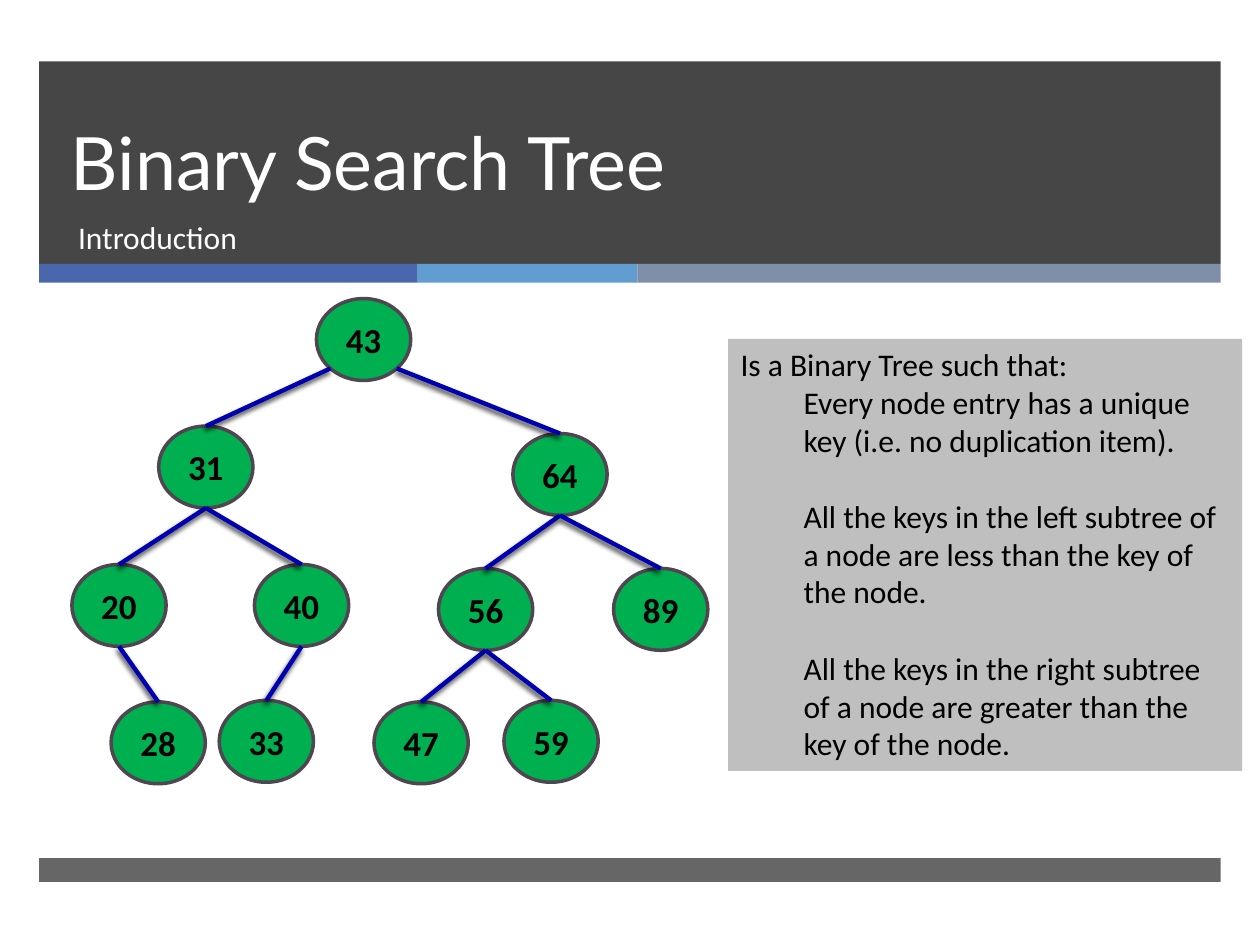
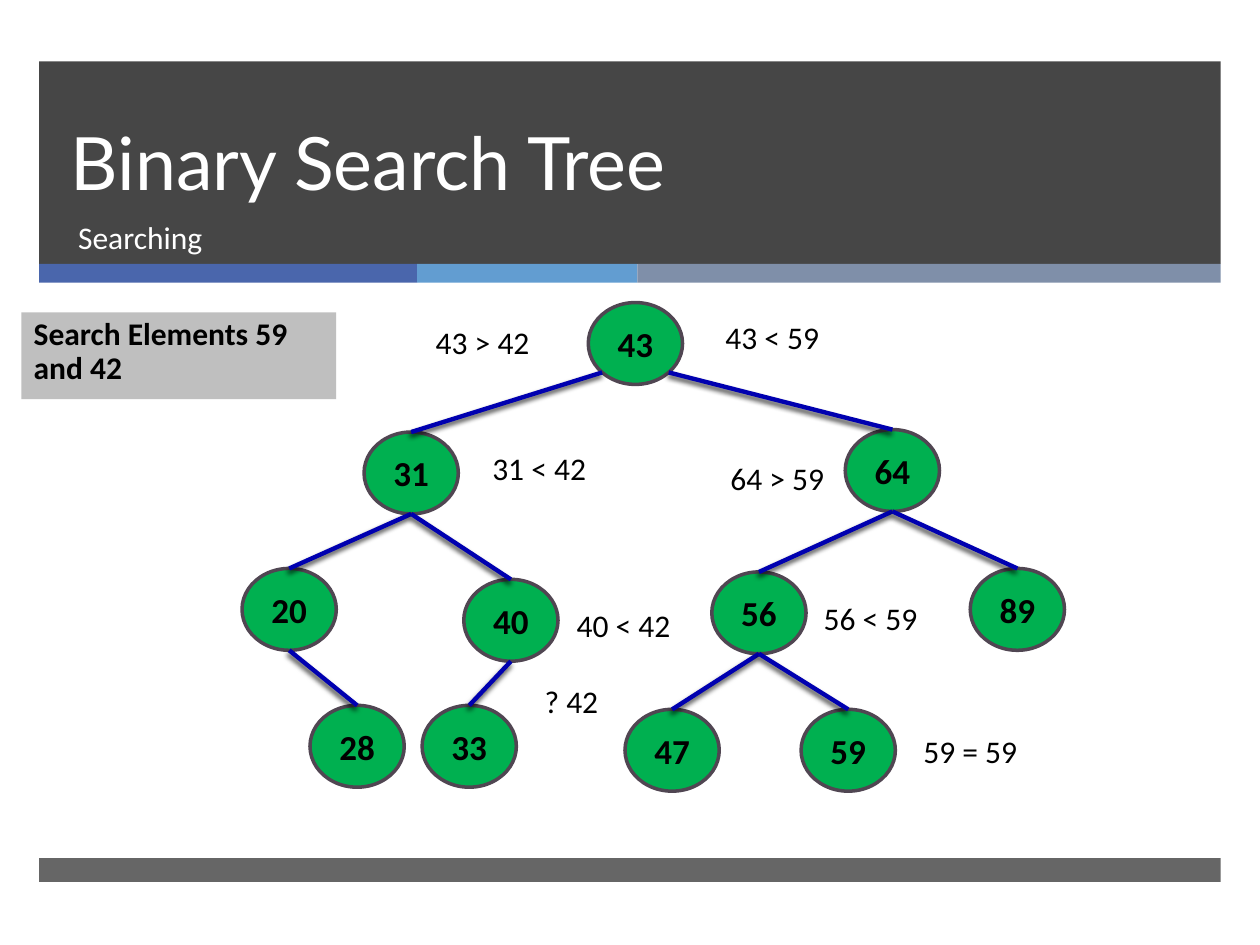
"""Build two slides on binary search trees: introduction and searching."""
import math
from dataclasses import dataclass

import lxml.etree
import pptx
import pptx.dml.color
import pptx.enum.shapes
import pptx.enum.text
import pptx.oxml.ns
import pptx.util

Cm, Pt = pptx.util.Cm, pptx.util.Pt
qn = pptx.oxml.ns.qn
SHAPE = pptx.enum.shapes.MSO_SHAPE
ALIGN = pptx.enum.text.PP_ALIGN
ANCHOR = pptx.enum.text.MSO_ANCHOR
FIT = pptx.enum.text.MSO_AUTO_SIZE


@dataclass(frozen=True)
class Theme:
    """Colours, fonts and type sizes of the deck."""
    dark: str = "262626"
    stripes: tuple = ("4A66AC", "629DD1", "7F8FA9")
    panel: str = "BFBFBF"
    node: str = "00B050"
    node_line: str = "504652"
    edge: str = "0000B0"
    black: str = "000000"
    white: str = "FFFFFF"
    title_font: str = "Lato"
    body_font: str = "Calibri"
    title_size: int = 42
    body_size: int = 18
    node_size: int = 20


T = Theme()
NODE_W, NODE_H = 1.9, 1.65
LABEL_W, LABEL_H = 2.44, 1.4
ROOT = "43"
CHILDREN = {"43": ("31", "64"), "31": ("20", "40"), "64": ("56", "89"),
            "20": ("28",), "40": ("33",), "56": ("47", "59")}


def rgb(value):
    """Turn a hex string into a colour."""
    return pptx.dml.color.RGBColor.from_string(value)


def set_all(obj, values):
    """Set each attribute named in a dict."""
    for name, value in values.items():
        setattr(obj, name, value)


def write(p, text, size=T.body_size, font=T.body_font, color=T.black,
          bold=False, **layout):
    """Put one formatted run in a paragraph and set paragraph attributes."""
    r = p.add_run()
    r.text = text
    set_all(r.font, {"size": Pt(size), "name": font, "bold": bold})
    r.font.color.rgb = rgb(color)
    set_all(p, layout)


def add_block(s, kind, box, fill, opacity=100):
    """Add a flat filled shape; box is left, top, width, height in cm."""
    sp = s.shapes.add_shape(kind, *map(Cm, box))
    sp.shadow.inherit = False
    sp.fill.solid()
    sp.fill.fore_color.rgb = rgb(fill)
    sp.line.fill.background()
    if opacity < 100:
        color = next(sp.element.spPr.iter(qn("a:srgbClr")))
        lxml.etree.SubElement(color, qn("a:alpha"), val=str(opacity * 1000))
    return sp


def add_bands(s, layout, box):
    """Draw header, stripes and footer band, and move them to the layout."""
    x, y, w, h = box
    header_h, stripe_h, footer_h = 4.08, 0.38, 0.48
    bands = [add_block(s, SHAPE.RECTANGLE, (x, y, w, header_h), T.dark, 85)]
    left = x
    for color, width in zip(T.stripes, (7.62, 4.44, 11.76)):
        bands.append(add_block(
            s, SHAPE.RECTANGLE, (left, y + header_h, width, stripe_h), color))
        left += width
    bands.append(add_block(
        s, SHAPE.RECTANGLE, (x, y + h - footer_h, w, footer_h), T.dark, 70))
    for i, band in enumerate(bands):
        band.element.nvSpPr.cNvPr.set("id", str(100 + i))
        layout.shapes.element.insert(2 + i, band.element)


def fill_header(s, box, subtitle):
    """Place and write the title and subtitle placeholders in the header."""
    x, y, w, h = box
    title, sub = s.placeholders
    places = ((title, (x + 0.38, y, w - 2.13, 3.02), ANCHOR.BOTTOM),
              (sub, (x + 0.53, y + 3.03, w - 2.28, 1.35), ANCHOR.TOP))
    for ph, place, anchor in places:
        set_all(ph, dict(zip(("left", "top", "width", "height"),
                             map(Cm, place))))
        set_all(ph.text_frame, {"vertical_anchor": anchor, "word_wrap": True,
                                "auto_size": FIT.NONE})
    shared = {"color": T.white, "alignment": ALIGN.LEFT, "space_before": Pt(0)}
    write(title.text_frame.paragraphs[0], "Binary Search Tree", T.title_size,
          T.title_font, line_spacing=Pt(46), **shared)
    write(sub.text_frame.paragraphs[0], subtitle, **shared)


def add_panel(s, box, lines, fit=FIT.NONE, bold=False, spacing=1.0):
    """Add a grey panel: a lead line, then indented points set apart."""
    sp = add_block(s, SHAPE.RECTANGLE, box, T.panel)
    tf = sp.text_frame
    set_all(tf, {"word_wrap": True, "vertical_anchor": ANCHOR.TOP,
                 "auto_size": fit})
    for i, text in enumerate(lines):
        p = tf.add_paragraph() if i else tf.paragraphs[0]
        write(p, text, bold=bold, alignment=ALIGN.LEFT, line_spacing=spacing,
              space_before=Pt(22 if i > 1 else 0))
        if i:
            p.level = 1
            set_all_xml = {"marL": Cm(1.27), "indent": 0}
            for name, value in set_all_xml.items():
                p._p.get_or_add_pPr().set(name, str(value))


def add_edge(s, start, end):
    """Draw one branch with a soft shadow."""
    line = s.shapes.add_connector(pptx.enum.shapes.MSO_CONNECTOR.STRAIGHT,
                                  *map(Cm, start + end))
    line.line.color.rgb = rgb(T.edge)
    line.line.width = Pt(2.5)
    effects = lxml.etree.SubElement(line.element.spPr, qn("a:effectLst"))
    shadow = lxml.etree.SubElement(
        effects, qn("a:outerShdw"), blurRad=str(Pt(3)), dist=str(Pt(2)),
        dir=str(110 * 60000), algn="ctr", rotWithShape="0")
    color = lxml.etree.SubElement(shadow, qn("a:srgbClr"), val=T.black)
    lxml.etree.SubElement(color, qn("a:alpha"), val="75000")


def add_tree(s, origin, places):
    """Draw nodes at places relative to origin, then the branches."""
    x, y = origin
    for key, (dx, dy) in places.items():
        sp = add_block(s, SHAPE.OVAL, (x + dx, y + dy, NODE_W, NODE_H), T.node)
        sp.line.color.rgb = rgb(T.node_line)
        sp.line.width = Pt(2)
        sp.text_frame.vertical_anchor = ANCHOR.MIDDLE
        write(sp.text_frame.paragraphs[0], key, T.node_size, bold=True,
              alignment=ALIGN.CENTER)
    diagonal = math.sqrt(0.5)
    for parent, children in CHILDREN.items():
        px, py = places[parent]
        for child in children:
            cx, cy = places[child]
            # The root's branches leave its sides; the others leave the bottom.
            side = math.copysign(diagonal, cx - px) if parent == ROOT else 0
            drop = diagonal if parent == ROOT else 1
            add_edge(s, (x + px + NODE_W / 2 * (1 + side),
                         y + py + NODE_H / 2 * (1 + drop)),
                     (x + cx + NODE_W / 2, y + cy))


def add_comparisons(s, origin, labels):
    """Place white comparison labels (text, dx, dy, width) by the nodes."""
    x, y = origin
    for text, dx, dy, width in labels:
        sp = add_block(s, SHAPE.RECTANGLE, (x + dx, y + dy, width, LABEL_H),
                       T.white)
        set_all(sp.text_frame, {"vertical_anchor": ANCHOR.MIDDLE,
                                "word_wrap": False})
        write(sp.text_frame.paragraphs[0], text, alignment=ALIGN.CENTER)


def introduction(s):
    """Fill the slide that defines the tree."""
    add_panel(s, (14.68, 6.83, 10.36, 8.71), (
        "Is a Binary Tree such that:",
        "Every node entry has a unique key (i.e. no duplication item).",
        "All the keys in the left subtree of a node are less than the key "
        "of the node.",
        "All the keys in the right subtree of a node are greater than the "
        "key of the node."), FIT.SHAPE_TO_FIT_TEXT)
    add_tree(s, (1.45, 6.02), {
        "43": (4.93, 0), "31": (1.75, 2.57), "64": (8.89, 2.72),
        "20": (0, 5.36), "40": (3.68, 5.36), "89": (10.92, 5.44),
        "56": (7.39, 5.44), "33": (2.97, 8.1), "28": (0.79, 8.13),
        "47": (6.09, 8.13), "59": (8.71, 8.1)})


def searching(s):
    """Fill the slide that traces two searches."""
    origin = (4.88, 6.1)
    add_panel(s, (0.43, 6.3, 6.35, 1.75), ("Search Elements 59 and 42",),
              bold=True, spacing=0.9)
    add_tree(s, origin, {
        "43": (6.98, 0), "31": (2.46, 2.61), "64": (12.16, 2.56),
        "20": (0, 5.36), "40": (4.47, 5.58), "89": (14.68, 5.36),
        "56": (9.47, 5.43), "33": (3.63, 8.12), "28": (1.37, 8.12),
        "47": (7.72, 8.2), "59": (11.27, 8.2)})
    add_comparisons(s, origin, (
        ("43 < 59", 9.47, 0, LABEL_W), ("64 > 59", 9.57, 2.84, LABEL_W),
        ("56 < 59", 11.45, 5.66, LABEL_W), ("59 = 59", 13.46, 8.33, LABEL_W),
        ("43 > 42", 3.63, 0.1, LABEL_W), ("31 < 42", 4.77, 2.64, LABEL_W),
        ("40 < 42", 6.47, 5.79, LABEL_W), ("? 42", 5.79, 7.34, 1.7)))


def main():
    """Build the deck and save it."""
    prs = pptx.Presentation()
    prs.slide_width, prs.slide_height = Cm(25.4), Cm(19.05)
    layout = prs.slide_layouts[0]
    frame = (0.79, 1.24, 23.82, 16.54)
    slides = (("Introduction", introduction), ("Searching", searching))
    for i, (subtitle, fill_body) in enumerate(slides):
        s = prs.slides.add_slide(layout)
        if i == 0:
            add_bands(s, layout, frame)
        fill_header(s, frame, subtitle)
        fill_body(s)
    prs.save("out.pptx")


main()
